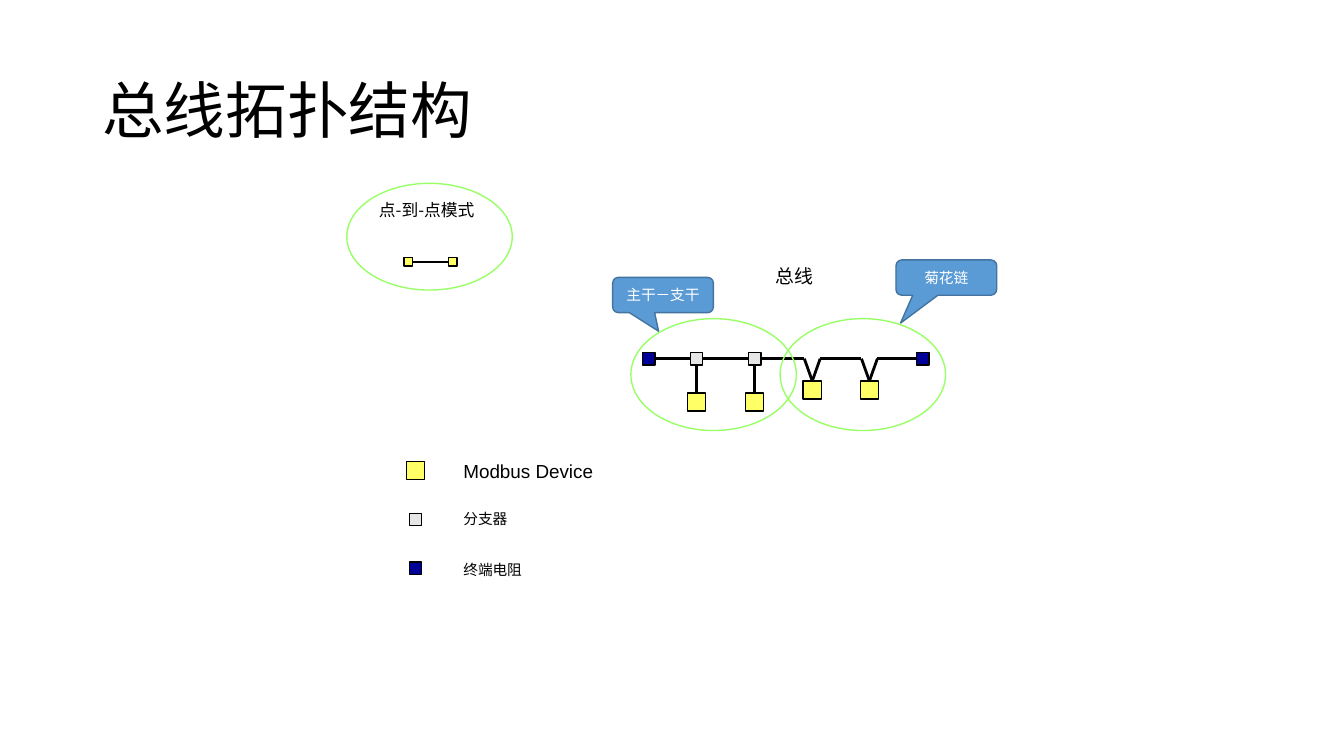
from dataclasses import dataclass

from lxml import etree
from pptx import Presentation
from pptx import util as u
from pptx.dml.color import RGBColor
from pptx.enum import shapes, text
from pptx.oxml.ns import qn

Cm = u.Cm
PRESET = shapes.MSO_SHAPE
ANCHOR = text.MSO_ANCHOR


@dataclass(frozen=True)
class Theme:
    ink: str = "000000"
    device: str = "FFFF66"
    tap: str = "E7E6E6"
    terminator: str = "000099"
    zone: str = "99FF66"
    callout: str = "5B9BD5"
    callout_edge: str = "43739E"
    callout_text: str = "FFFFFF"
    latin: str = "Arial"
    callout_font: str = "Calibri"
    chinese: str = "Noto Sans CJK SC"
    title_size: float = 44
    mode_size: float = 12
    label_size: float = 13.5
    small_size: float = 10.5
    thin: float = 1
    thick: float = 2


THEME = Theme()
DEVICE, NODE, POINT = 0.46, 0.31, 0.21  # side lengths in cm
ZONE_WIDTH = 4.17


def write(frame, words, size, font=THEME.latin, color=THEME.ink, align=None, **frame_format):
    for name, value in frame_format.items():
        setattr(frame, name, value)
    paragraph = frame.paragraphs[0]
    paragraph.alignment = align
    run = paragraph.add_run()
    run.text = words
    run.font.size = u.Pt(size)
    run.font.name = font
    run.font.color.rgb = RGBColor.from_string(color)
    east_asian = etree.SubElement(run.font._element, qn("a:ea"))
    east_asian.set("typeface", THEME.chinese)
    return paragraph


def label(slide, box, words, size, **formats):
    frame = slide.shapes.add_textbox(*map(Cm, box)).text_frame
    return write(frame, words, size, **{"word_wrap": False, **formats})


def outlined(slide, preset, box, fill, edge):
    shape = slide.shapes.add_shape(preset, *map(Cm, box))
    shape.shadow.inherit = False
    if fill:
        shape.fill.solid()
        shape.fill.fore_color.rgb = RGBColor.from_string(fill)
    else:
        shape.fill.background()
    shape.line.color.rgb = RGBColor.from_string(edge)
    shape.line.width = u.Pt(THEME.thin)
    return shape


def square(slide, x, y, side, fill):
    """Place a node by its centre."""
    outlined(slide, PRESET.RECTANGLE, (x - side / 2, y - side / 2, side, side), fill, THEME.ink)


def zone(slide, left, top, height):
    outlined(slide, PRESET.OVAL, (left, top, ZONE_WIDTH, height), None, THEME.zone)


def wire(slide, x1, y1, x2, y2, width=THEME.thick):
    line = slide.shapes.add_connector(shapes.MSO_CONNECTOR.STRAIGHT, *map(Cm, (x1, y1, x2, y2)))
    line.line.color.rgb = RGBColor.from_string(THEME.ink)
    line.line.width = u.Pt(width)
    etree.SubElement(line._element.spPr, qn("a:effectLst"))


def callout(slide, left, top, words, tip):
    shape = outlined(slide, PRESET.ROUNDED_RECTANGULAR_CALLOUT, (left, top, 2.54, 0.89),
                     THEME.callout, THEME.callout_edge)
    for index, value in enumerate((*tip, 0.167)):
        shape.adjustments[index] = value
    write(shape.text_frame, words, THEME.small_size, THEME.callout_font, THEME.callout_text,
          text.PP_ALIGN.CENTER, vertical_anchor=ANCHOR.MIDDLE, word_wrap=True)


def title(slide, box):
    heading = label(slide, box, "总线拓扑结构", THEME.title_size,
                    word_wrap=True, vertical_anchor=ANCHOR.MIDDLE)
    heading.line_spacing = 0.9


def point_to_point(slide, left, top):
    label(slide, (left + 0.81, top + 0.41, 2.62, 0.51), "点-到-点模式", THEME.mode_size,
          font=THEME.chinese, word_wrap=True,
          margin_left=0, margin_top=0, margin_right=0, margin_bottom=0)
    first, second, middle = left + 1.55, left + 2.67, top + 1.98
    wire(slide, first, middle, second, middle, THEME.thin)
    for x in (first, second):
        square(slide, x, middle, POINT, THEME.device)
    zone(slide, left, top, 2.69)


def bus(slide, left, top):
    trunk = top + 2.49
    ends = [left + 0.91, left + 7.82]
    taps = [left + 2.11, left + 3.58]
    chained = [left + 5.03, left + 6.47]
    dip, half_dip = trunk + 0.56, 0.2

    breaks = [ends[0], *(x + side for x in chained for side in (-half_dip, half_dip)), ends[1]]
    for start, stop in zip(breaks[::2], breaks[1::2]):
        wire(slide, start, trunk, stop, trunk)
    for x in chained:
        for side in (-half_dip, half_dip):
            wire(slide, x + side, trunk, x, dip)
        square(slide, x, dip + DEVICE / 2, DEVICE, THEME.device)
    for x in taps:
        wire(slide, x, trunk, x, trunk + 0.86)
        square(slide, x, trunk + 1.09, DEVICE, THEME.device)
        square(slide, x, trunk, NODE, THEME.tap)
    for x in ends:
        square(slide, x, trunk, NODE, THEME.terminator)

    label(slide, (left + 3.86, top, 1.47, 0.84), "总线", THEME.label_size)
    callout(slide, left, top + 0.44, "主干－支干", (-0.044, 1.025))
    callout(slide, left + 7.14, top, "菊花链", (-0.455, 1.292))
    for offset in (0.46, 4.22):
        zone(slide, left + offset, top + 1.48, 2.82)


def legend(slide, left, top):
    entries = [
        ("Modbus Device", DEVICE, THEME.device, THEME.label_size),
        ("分支器", NODE, THEME.tap, THEME.small_size),
        ("终端电阻", NODE, THEME.terminator, THEME.small_size),
    ]
    for row, (words, side, fill, size) in enumerate(entries):
        square(slide, left + 0.23, top + 0.4 + 1.23 * row, side, fill)
        label(slide, (left + 1.19, top + 1.27 * row, 3.8, 0.75), words, size)


def main():
    deck = Presentation()
    deck.slide_width, deck.slide_height = Cm(33.87), Cm(19.05)
    slide = deck.slides.add_slide(deck.slide_layouts[6])
    title(slide, (2.33, 1.01, 29.21, 3.68))
    point_to_point(slide, 8.74, 4.62)
    bus(slide, 15.44, 6.55)
    legend(slide, 10.24, 11.46)
    deck.save("out.pptx")


if __name__ == "__main__":
    main()
